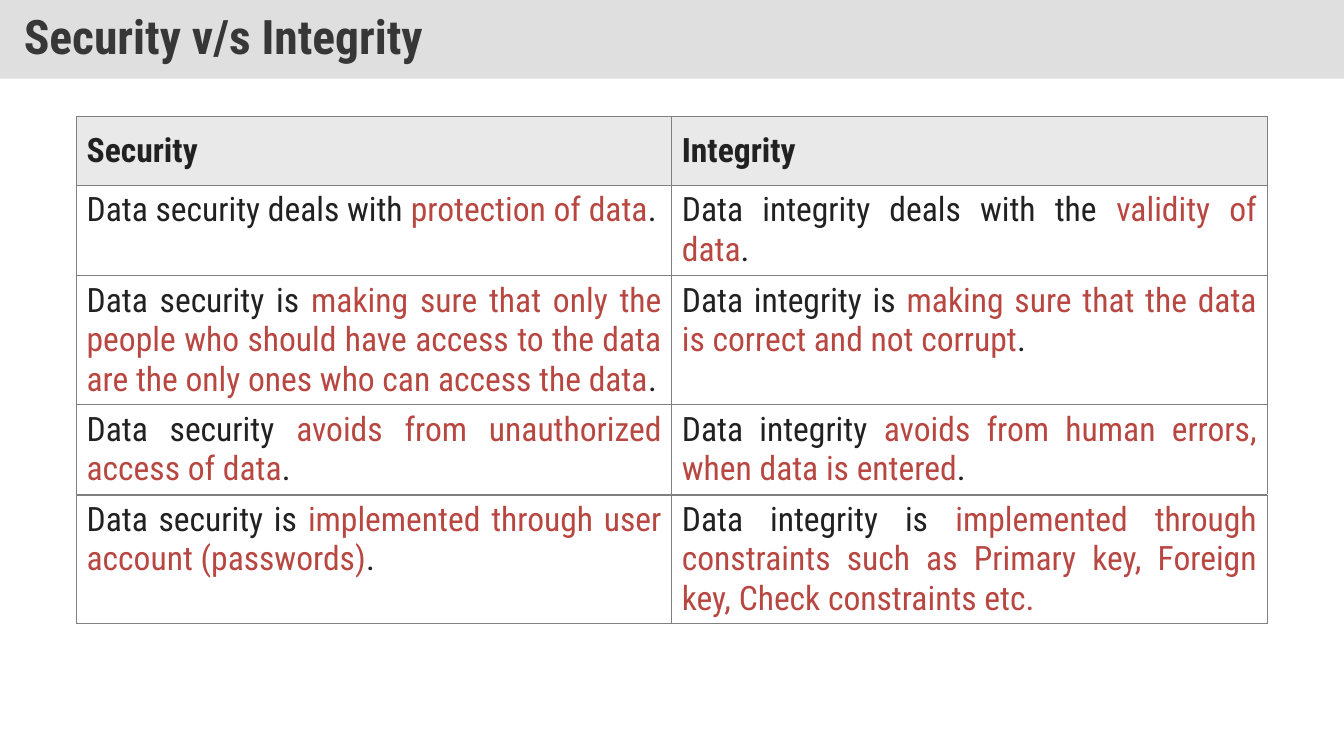
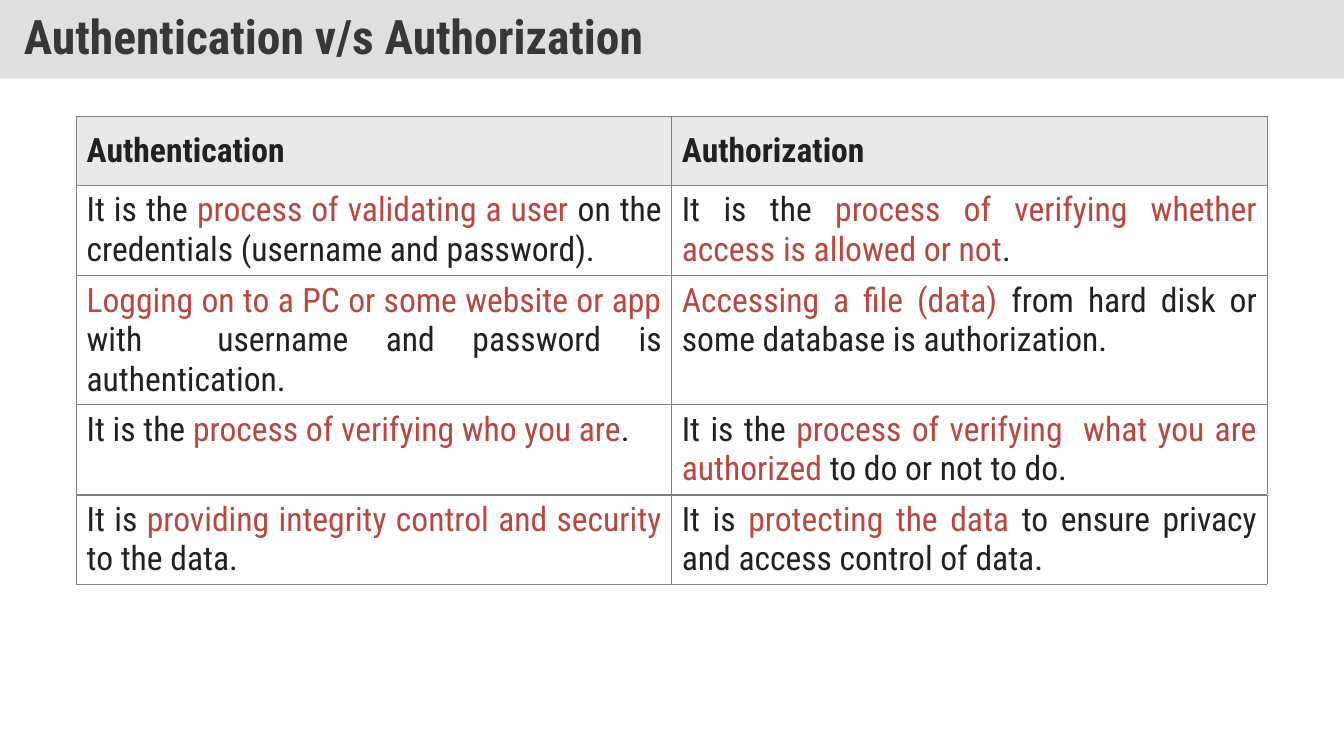
from lxml.etree import SubElement
from pptx import Presentation
from pptx.dml.color import RGBColor
from pptx.enum.text import MSO_ANCHOR as Anchor, MSO_AUTO_SIZE as AutoSize, PP_ALIGN as Align
from pptx.oxml.ns import qn
from pptx.util import Cm, Pt

COLORS = {
    "band": "C0C0C0",
    "title": "373737",
    "text": "212121",
    "highlight": "B84742",
    "header": "E9E9E9",
    "cell": "FFFFFF",
    "border": "808080",
}
FONT = "Roboto Condensed"
SLIDE_WIDTH, SLIDE_HEIGHT = Cm(33.87), Cm(19.05)
BAND_BOX = (0, 0, SLIDE_WIDTH, Cm(1.98))
TABLES_BOX = (Cm(1.93), Cm(2.93), Cm(30))
HEADING_HEIGHT = Cm(1.75)
MINIMUM_ROW_HEIGHT = Cm(1.5)
ROW_STEPS = {2: Cm(2.27), 3: Cm(3.25)}
ROW_HEIGHTS = {2: Cm(2.27), 3: Cm(3.3)}

COMPARISONS = [
    {
        "title": "Security v/s Integrity",
        "headings": ("Security", "Integrity"),
        "rows": [
            (2, "Data security deals with *protection of data*.",
             "Data integrity deals with the *validity of data*."),
            (3, "Data security is *making sure that only the people who should have access "
                "to the data are the only ones who can access the data*.",
             "Data integrity is *making sure that the data is correct and not corrupt*."),
            (2, "Data security *avoids from unauthorized access of data*.",
             "Data integrity *avoids from human errors, when data is entered*."),
            (3, "Data security is *implemented through user account (passwords)*.",
             "Data integrity is *implemented through constraints such as Primary key, "
             "Foreign key, Check constraints etc.*"),
        ],
    },
    {
        "title": "Authentication v/s Authorization",
        "headings": ("Authentication", "Authorization"),
        "rows": [
            (2, "It is the *process of validating a user *on the credentials "
                "(username and password).",
             "It is the *process of verifying whether access is allowed or not*."),
            (3, "*Logging on to a PC or some website or app *with  username and password "
                "is authentication.",
             "*Accessing a file (data) *from hard disk or some database is authorization."),
            (2, "It is the *process of verifying who you are*.",
             "It is the *process of verifying  what you are authorized* to do or not to do."),
            (2, "It is *providing integrity control and security *to the data.",
             "It is *protecting the data* to ensure privacy and access control of data."),
        ],
    },
]


def rgb(name):
    """Return the named colour."""
    return RGBColor.from_string(COLORS[name])


def format_run(run, size, color, bold=False):
    """Apply the shared font with a size, colour and weight."""
    run.font.name = FONT
    run.font.size = Pt(size)
    run.font.bold = bold
    run.font.color.rgb = rgb(color)


def add_title_band(slide, text, box):
    """Turn the title placeholder into the translucent band at the top."""
    title = slide.shapes.title
    title.left, title.top, title.width, title.height = box
    title.fill.solid()
    title.fill.fore_color.rgb = rgb("band")
    band_color = title.fill._xPr.find(qn("a:solidFill"))[0]
    SubElement(band_color, qn("a:alpha"), val="50000")
    frame = title.text_frame
    frame.text = text
    frame.word_wrap = True
    frame.auto_size = AutoSize.NONE
    frame.vertical_anchor = Anchor.MIDDLE
    frame.margin_left = frame.margin_right = Cm(0.6)
    frame.margin_top = frame.margin_bottom = Cm(0.3)
    paragraph = frame.paragraphs[0]
    paragraph.alignment = Align.LEFT
    paragraph.line_spacing = 0.9
    format_run(paragraph.runs[0], 34, "title", bold=True)


def style_cell(cell, fill):
    """Give a cell thin borders on all sides and a solid fill."""
    properties = cell._tc.get_or_add_tcPr()
    for side in ("lnL", "lnR", "lnT", "lnB"):
        line = SubElement(properties, qn(f"a:{side}"), w=str(Pt(0.5)))
        line_fill = SubElement(line, qn("a:solidFill"))
        SubElement(line_fill, qn("a:srgbClr"), val=COLORS["border"])
    cell.fill.solid()
    cell.fill.fore_color.rgb = rgb(fill)


def fill_heading(cell, text):
    """Write a bold column heading."""
    style_cell(cell, "header")
    cell.vertical_anchor = Anchor.MIDDLE
    cell.text_frame.text = text
    format_run(cell.text_frame.paragraphs[0].runs[0], 24, "text", bold=True)


def fill_statement(cell, text):
    """Write a justified statement, highlighting the parts between asterisks."""
    style_cell(cell, "cell")
    cell.vertical_anchor = Anchor.TOP
    paragraph = cell.text_frame.paragraphs[0]
    paragraph.alignment = Align.JUSTIFY
    for index, part in enumerate(text.split("*")):
        if part:
            run = paragraph.add_run()
            run.text = part
            format_run(run, 24, "highlight" if index % 2 else "text")


def add_row_table(slide, texts, box, row_height, fill_cell):
    """Add a table of one row with equal columns, filled cell by cell."""
    frame = slide.shapes.add_table(1, len(texts), *box)
    table = frame.table
    table.first_row = table.horz_banding = False
    table.rows[0].height = row_height
    frame.height = box[3]
    for column, text in enumerate(texts):
        fill_cell(table.cell(0, column), text)


def add_comparison_tables(slide, headings, rows, box):
    """Stack a heading table and one table for each pair of statements."""
    left, top, width = box
    add_row_table(slide, headings, (left, top, width, HEADING_HEIGHT),
                  HEADING_HEIGHT, fill_heading)
    top += HEADING_HEIGHT
    for lines, *statements in rows:
        add_row_table(slide, statements, (left, top, width, ROW_HEIGHTS[lines]),
                      MINIMUM_ROW_HEIGHT, fill_statement)
        top += ROW_STEPS[lines]


def add_comparison_slide(presentation, comparison):
    """Add one slide that compares two concepts."""
    slide = presentation.slides.add_slide(presentation.slide_layouts[5])
    add_title_band(slide, comparison["title"], BAND_BOX)
    add_comparison_tables(slide, comparison["headings"], comparison["rows"], TABLES_BOX)


def main():
    """Build and save the presentation."""
    presentation = Presentation()
    presentation.slide_width = SLIDE_WIDTH
    presentation.slide_height = SLIDE_HEIGHT
    for comparison in COMPARISONS:
        add_comparison_slide(presentation, comparison)
    presentation.save("out.pptx")


if __name__ == "__main__":
    main()
